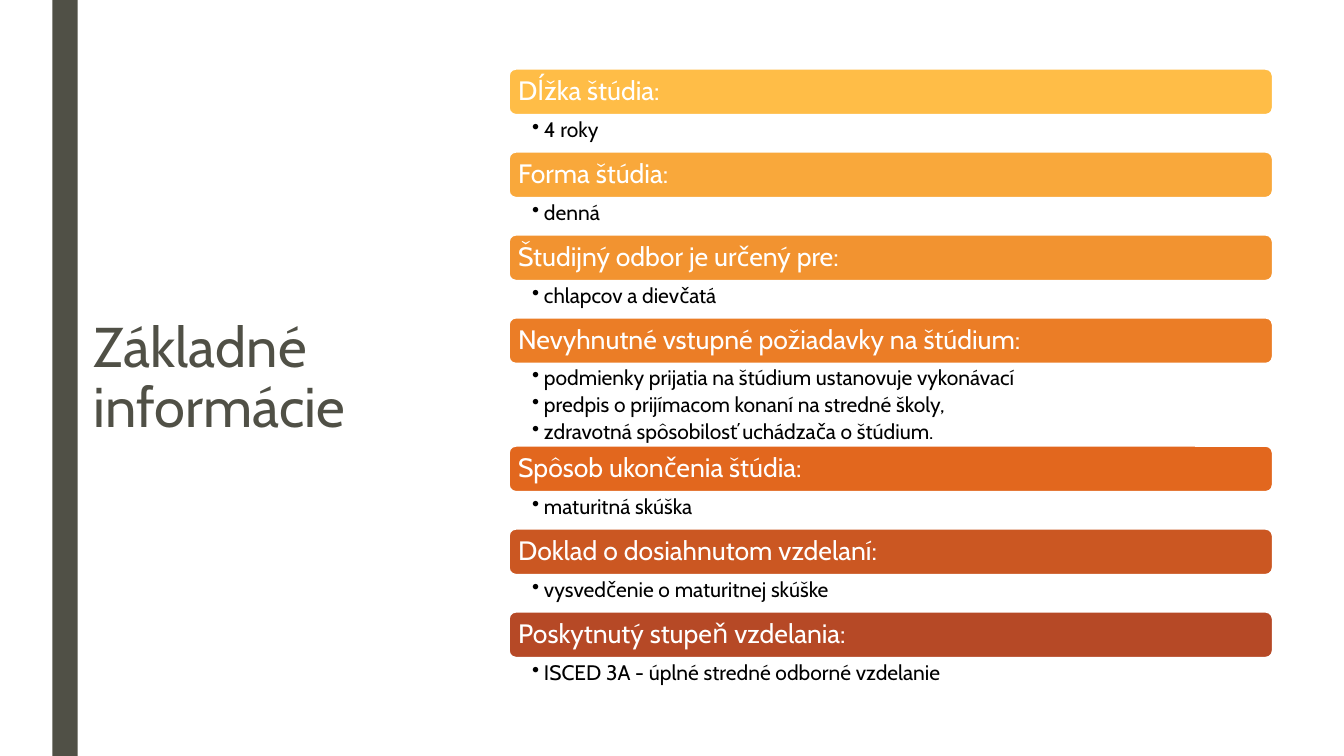
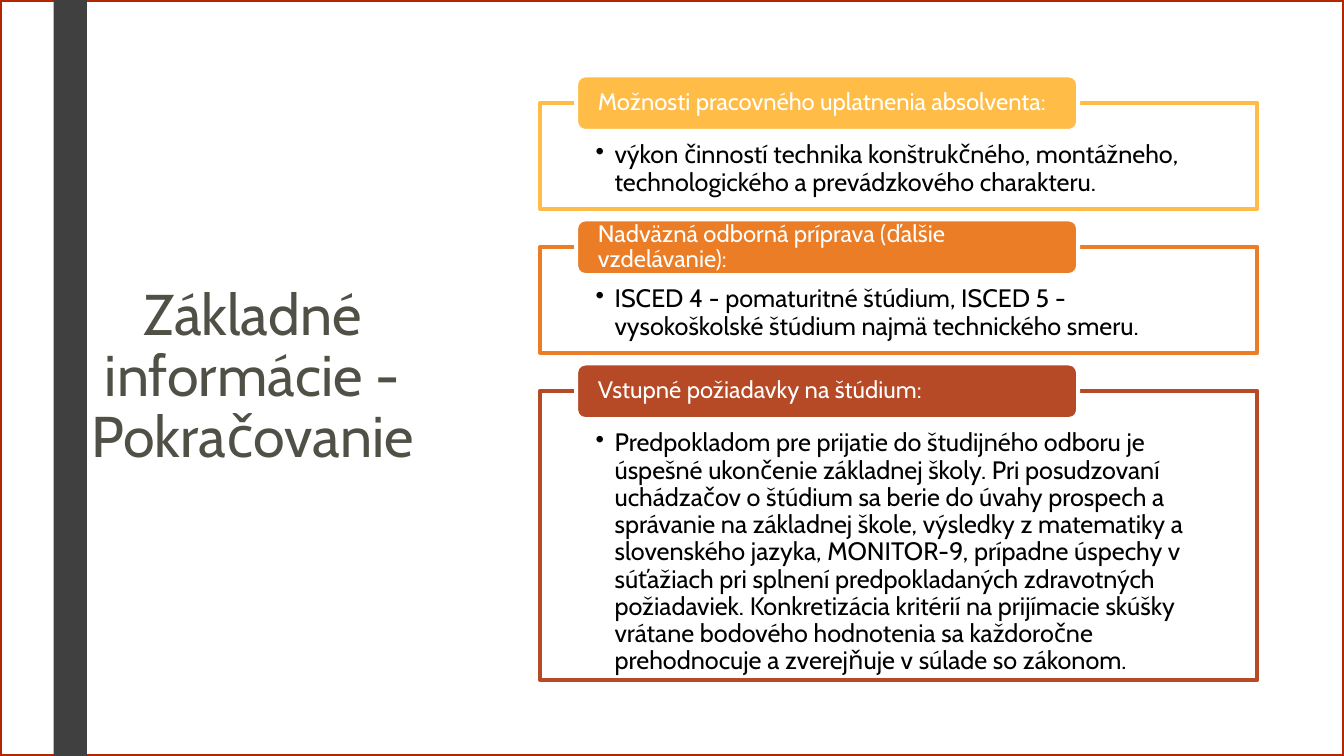
from lxml import etree
from pptx import Presentation
from pptx.dml.color import RGBColor
from pptx.enum import shapes, text
from pptx.oxml import ns
from pptx.util import Cm, Pt

WIDTH, HEIGHT = 33.87, 19.05
SHADES = ["FFBD47", "F9A83B", "F29330", "EB7D26", "E2671E", "CB5722", "B64926"]

FACTS = [
    ("Dĺžka štúdia:", ["4 roky"]),
    ("Forma štúdia:", ["denná"]),
    ("Študijný odbor je určený pre:", ["chlapcov a dievčatá"]),
    ("Nevyhnutné vstupné požiadavky na štúdium:", [
        "podmienky prijatia na štúdium ustanovuje vykonávací",
        "predpis o prijímacom konaní na stredné školy,",
        "zdravotná spôsobilosť uchádzača o štúdium.",
    ]),
    ("Spôsob ukončenia štúdia:", ["maturitná skúška"]),
    ("Doklad o dosiahnutom vzdelaní:", ["vysvedčenie o maturitnej skúške"]),
    ("Poskytnutý stupeň vzdelania:",
     ["ISCED 3A - úplné stredné odborné vzdelanie"]),
]

PANELS = [
    ("Možnosti pracovného uplatnenia absolventa:",
     "výkon činností technika konštrukčného, montážneho, "
     "technologického a prevádzkového charakteru.", 2.67),
    ("Nadväzná odborná príprava (ďalšie vzdelávanie):",
     "ISCED 4 - pomaturitné štúdium, ISCED 5 - "
     "vysokoškolské štúdium najmä technického smeru.", 2.67),
    ("Vstupné požiadavky na štúdium:",
     "Predpokladom pre prijatie do študijného odboru je úspešné ukončenie "
     "základnej školy. Pri posudzovaní uchádzačov o štúdium sa berie do úvahy "
     "prospech a správanie na základnej škole, výsledky z matematiky a "
     "slovenského jazyka, MONITOR-9, prípadne úspechy v súťažiach pri splnení "
     "predpokladaných zdravotných požiadaviek. Konkretizácia kritérií na "
     "prijímacie skúšky vrátane bodového hodnotenia sa každoročne prehodnocuje "
     "a zverejňuje v súlade so zákonom.", 7.29),
]


def color(value):
    return RGBColor.from_string(value)


class Deck:
    font = "Cabin"
    olive = "505046"
    white = "FFFFFF"
    black = "000000"
    outline = 2.75

    def __init__(self):
        self.presentation = Presentation()
        self.presentation.slide_width = Cm(WIDTH)
        self.presentation.slide_height = Cm(HEIGHT)
        self.layout = self.presentation.slide_layouts.get_by_name("Title Only")
        self.slide = None

    def add_slide(self):
        self.slide = self.presentation.slides.add_slide(self.layout)

    def title(self, wording, box, size, align):
        shape = self.slide.shapes.title
        shape.left, shape.top, shape.width, shape.height = map(Cm, box)
        self.set_text(shape, [wording], size, self.olive,
                      (0.25, 0.13, 0.25, 0.13), spacing=0.89, align=align)

    def box(self, box, fill, line=None, rounded=False):
        kinds = shapes.MSO_SHAPE
        kind = kinds.ROUNDED_RECTANGLE if rounded else kinds.RECTANGLE
        shape = self.slide.shapes.add_shape(kind, *map(Cm, box))
        shape.shadow.inherit = False
        shape.fill.solid()
        shape.fill.fore_color.rgb = color(fill)
        if line:
            shape.line.color.rgb = color(line)
            shape.line.width = Pt(self.outline)
        else:
            shape.line.fill.background()
        return shape

    def layout_band(self, box, fill):
        self.layout.shapes.element.append(self.box(box, fill).element)

    def back_frame(self, line):
        frame = self.box((0, 0, WIDTH, HEIGHT), self.white, line)
        self.slide.shapes.element.insert(2, frame.element)

    def heading(self, wording, box, fill, size, inset):
        shape = self.box(box, fill, self.white, rounded=True)
        self.set_text(shape, [wording], size, self.white, (inset, 0, inset, 0))

    def bullet_list(self, items, box, size, insets, indent, gap):
        shape = self.slide.shapes.add_textbox(*map(Cm, box))
        self.bullets(shape, items, size, insets, indent, gap)

    def bullet_panel(self, item, box, line, size, insets, indent):
        shape = self.box(box, self.white, line)
        self.bullets(shape, [item], size, insets, indent, 0)

    def bullets(self, shape, items, size, insets, indent, gap):
        self.set_text(shape, items, size, self.black, insets,
                      anchor=text.MSO_ANCHOR.TOP)
        for paragraph in shape.text_frame.paragraphs:
            paragraph.space_after = Pt(gap)
            properties = paragraph._p.get_or_add_pPr()
            properties.set("marL", str(Cm(indent)))
            properties.set("indent", str(-Cm(indent)))
            bullet = etree.Element(ns.qn("a:buChar"), char="•")
            properties.find(ns.qn("a:defRPr")).addprevious(bullet)

    def set_text(self, shape, lines, size, ink, insets, spacing=0.9,
                 align=text.PP_ALIGN.LEFT, anchor=text.MSO_ANCHOR.MIDDLE):
        frame = shape.text_frame
        frame.text = "\n".join(lines)
        frame.word_wrap = True
        frame.auto_size = text.MSO_AUTO_SIZE.NONE
        frame.vertical_anchor = anchor
        (frame.margin_left, frame.margin_top,
         frame.margin_right, frame.margin_bottom) = map(Cm, insets)
        for paragraph in frame.paragraphs:
            paragraph.alignment = align
            paragraph.line_spacing = spacing
            paragraph.font.name = self.font
            paragraph.font.size = Pt(size)
            paragraph.font.color.rgb = color(ink)


def build_facts(deck):
    deck.add_slide()
    deck.layout_band((1.32, 0, 0.64, HEIGHT), deck.olive)
    deck.title("Základné informácie", (2.11, 1.52, 9.7, 16.08), 40,
               text.PP_ALIGN.LEFT)
    left, top, width, bar_height = 12.8, 1.71, 19.3, 1.21
    for (heading, items), shade in zip(FACTS, SHADES):
        deck.heading(heading, (left, top, width, bar_height), shade, 19, 0.2)
        top += bar_height
        list_height = 0.31 + 0.57 * len(items)
        deck.bullet_list(items, (left, top, width, list_height), 15,
                         (0.61, 0.08, 0.38, 0.08), 0.3, 3)
        top += list_height


def build_panels(deck):
    deck.add_slide()
    deck.back_frame("B22600")
    deck.title("Základné informácie - Pokračovanie", (1.78, 1.78, 9.17, 15.49),
               41, text.PP_ALIGN.CENTER)
    left, top, width, gap = 13.61, 2.59, 18.08, 0.96
    for (heading, item, height), shade in zip(PANELS, SHADES[::3]):
        deck.bullet_panel(item, (left, top, width, height), shade, 18,
                          (1.4, 0.99, 1.4, 0.36), 0.48)
        deck.heading(heading, (left + 0.91, top - 0.69, 12.65, 1.4), shade,
                     17, 0.48)
        top += height + gap
    deck.box((1.35, -0.2, 0.84, 19.56), "404040")


def main():
    deck = Deck()
    build_facts(deck)
    build_panels(deck)
    deck.presentation.save("out.pptx")


if __name__ == "__main__":
    main()
